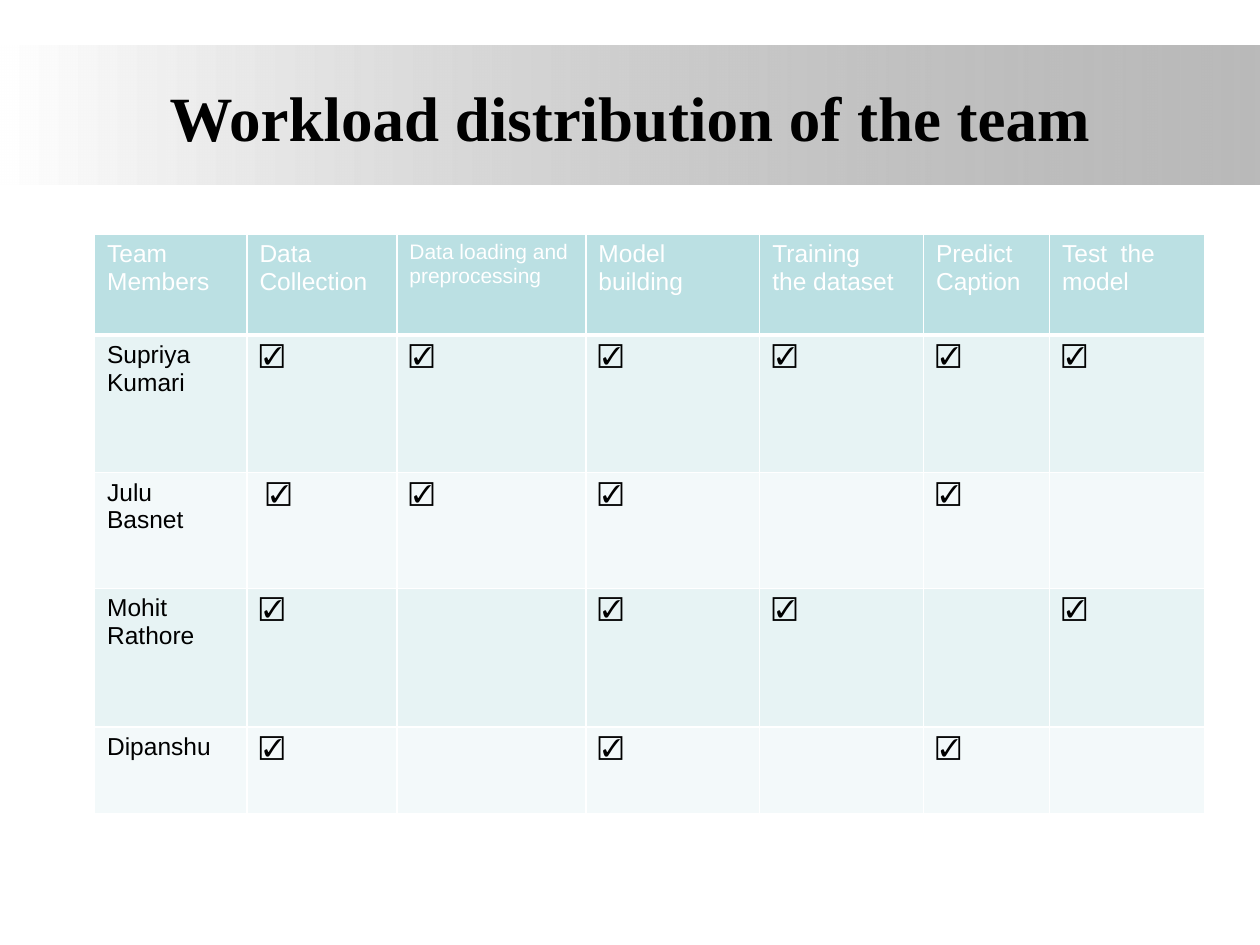
from dataclasses import dataclass

from lxml.etree import SubElement
from pptx import Presentation
from pptx.dml.color import RGBColor
from pptx.enum.shapes import MSO_SHAPE
from pptx.enum.text import MSO_ANCHOR, PP_ALIGN
from pptx.oxml.ns import qn
from pptx.util import Inches, Pt


@dataclass(frozen=True)
class Theme:
    """Colours, fonts and type sizes of the slide."""

    white: str = "FFFFFF"
    black: str = "000000"
    band_end: str = "808080"
    band_opacity: int = 54
    header: str = "BBE0E3"
    odd_row: str = "E7F3F4"
    even_row: str = "F3F9FA"
    title_font: str = "Times New Roman"
    body_font: str = "Arial"
    title_size: int = 36
    body_size: int = 14
    small_size: int = 12


THEME = Theme()
WIDTH, HEIGHT = Inches(10), Inches(7.5)
CHECK = "☑"
COLUMN_WIDTHS = [1.21, 1.19, 1.5, 1.38, 1.3, 1, 1.23]
ROW_HEIGHTS = [0.8, 1.09, 0.92, 1.1, 0.69]
TASKS = [
    "Team Members",
    "Data Collection",
    "Data loading and preprocessing",
    "Model building",
    "Training\nthe dataset",
    "Predict Caption",
    "Test  the model",
]
SMALL_TASK = 2
WORKLOAD = [
    ["Supriya Kumari"] + [CHECK] * 6,
    ["Julu Basnet", f" {CHECK}", CHECK, CHECK, "", CHECK, ""],
    ["Mohit Rathore", CHECK, "", CHECK, CHECK, "", CHECK],
    ["Dipanshu", CHECK, "", CHECK, "", CHECK, ""],
]


def share(left, top, width, height):
    """Turn shares of the slide's size into a box in slide units."""
    return (int(left * WIDTH), int(top * HEIGHT), int(width * WIDTH), int(height * HEIGHT))


def add_run(paragraph, text, font, size, color, bold=False):
    """Add one formatted run to a paragraph."""
    run = paragraph.add_run()
    run.text = text
    run.font.name = font
    run.font.size = Pt(size)
    run.font.bold = bold
    run.font.color.rgb = RGBColor.from_string(color)


def add_band(slide):
    """Draw the band that fades in from the left behind the title."""
    band = slide.shapes.add_shape(MSO_SHAPE.RECTANGLE, *share(0, 0.048, 1, 0.147))
    band.shadow.inherit = False
    band.line.fill.background()
    band.fill.gradient()
    band.fill.gradient_angle = 0
    stops = zip(band.fill.gradient_stops, (0, 1), (THEME.white, THEME.band_end))
    for stop, position, color in stops:
        stop.position = position
        stop.color.rgb = RGBColor.from_string(color)
    end_color = list(band._element.spPr.iter(qn("a:srgbClr")))[-1]
    SubElement(end_color, qn("a:alpha"), val=str(THEME.band_opacity * 1000))


def add_title(slide, text):
    """Add the centred slide title."""
    frame = slide.shapes.add_textbox(*share(0.05, 0.04, 0.9, 0.167)).text_frame
    frame.word_wrap = True
    frame.vertical_anchor = MSO_ANCHOR.MIDDLE
    frame.margin_left = frame.margin_right = frame.margin_top = frame.margin_bottom = 0
    paragraph = frame.paragraphs[0]
    paragraph.alignment = PP_ALIGN.CENTER
    add_run(paragraph, text, THEME.title_font, THEME.title_size, THEME.black, True)


def add_borders(cell, bottom):
    """Give a cell white borders, with its own width at the bottom."""
    properties = cell._tc.get_or_add_tcPr()
    for side, width in (("L", 1), ("R", 1), ("T", 1), ("B", bottom)):
        line = SubElement(properties, qn(f"a:ln{side}"), w=str(Pt(width)))
        fill = SubElement(line, qn("a:solidFill"))
        SubElement(fill, qn("a:srgbClr"), val=THEME.white)


def fill_cell(cell, text, fill, color, size=THEME.body_size, bottom=1):
    """Set the borders, fill and text of a cell."""
    add_borders(cell, bottom)
    cell.fill.solid()
    cell.fill.fore_color.rgb = RGBColor.from_string(fill)
    frame = cell.text_frame
    for index, line in enumerate(text.split("\n") if text else []):
        paragraph = frame.add_paragraph() if index else frame.paragraphs[0]
        add_run(paragraph, line, THEME.body_font, size, color, CHECK in line)


def add_workload_table(slide):
    """Add the table of team members and their tasks."""
    box = share(0.075, 0.248, 0.881, 0.613)
    table = slide.shapes.add_table(len(ROW_HEIGHTS), len(COLUMN_WIDTHS), *box).table
    for column, width in zip(table.columns, COLUMN_WIDTHS):
        column.width = Inches(width)
    for row, height in zip(table.rows, ROW_HEIGHTS):
        row.height = Inches(height)
    for index, task in enumerate(TASKS):
        size = THEME.small_size if index == SMALL_TASK else THEME.body_size
        fill_cell(table.cell(0, index), task, THEME.header, THEME.white, size, 3)
    for row_index, entries in enumerate(WORKLOAD, start=1):
        fill = THEME.odd_row if row_index % 2 else THEME.even_row
        for index, entry in enumerate(entries):
            fill_cell(table.cell(row_index, index), entry, fill, THEME.black)


def main():
    """Build and save the presentation."""
    presentation = Presentation()
    presentation.slide_width, presentation.slide_height = WIDTH, HEIGHT
    slide = presentation.slides.add_slide(presentation.slide_layouts[6])
    add_band(slide)
    add_title(slide, "Workload distribution of the team")
    add_workload_table(slide)
    presentation.save("out.pptx")


if __name__ == "__main__":
    main()
